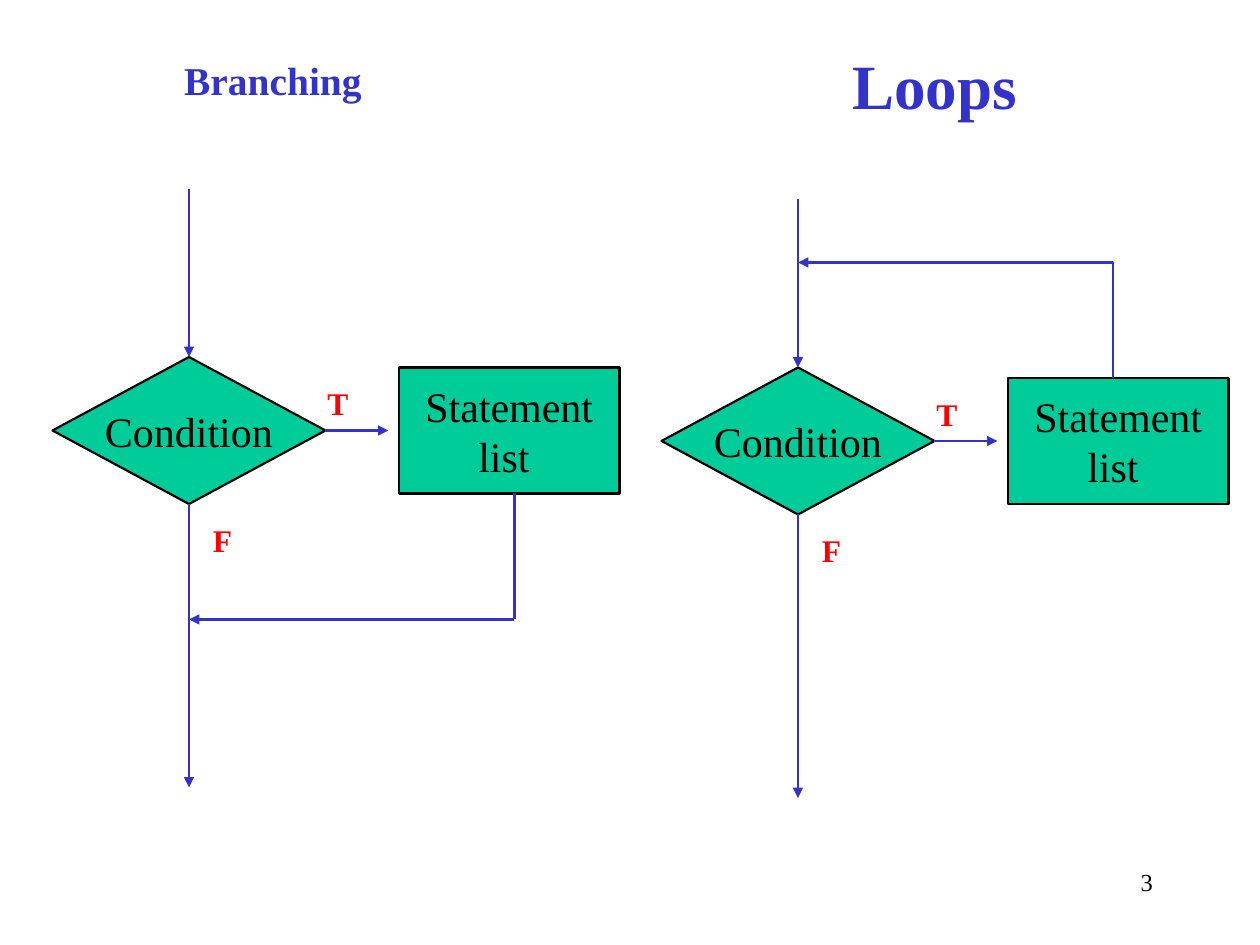
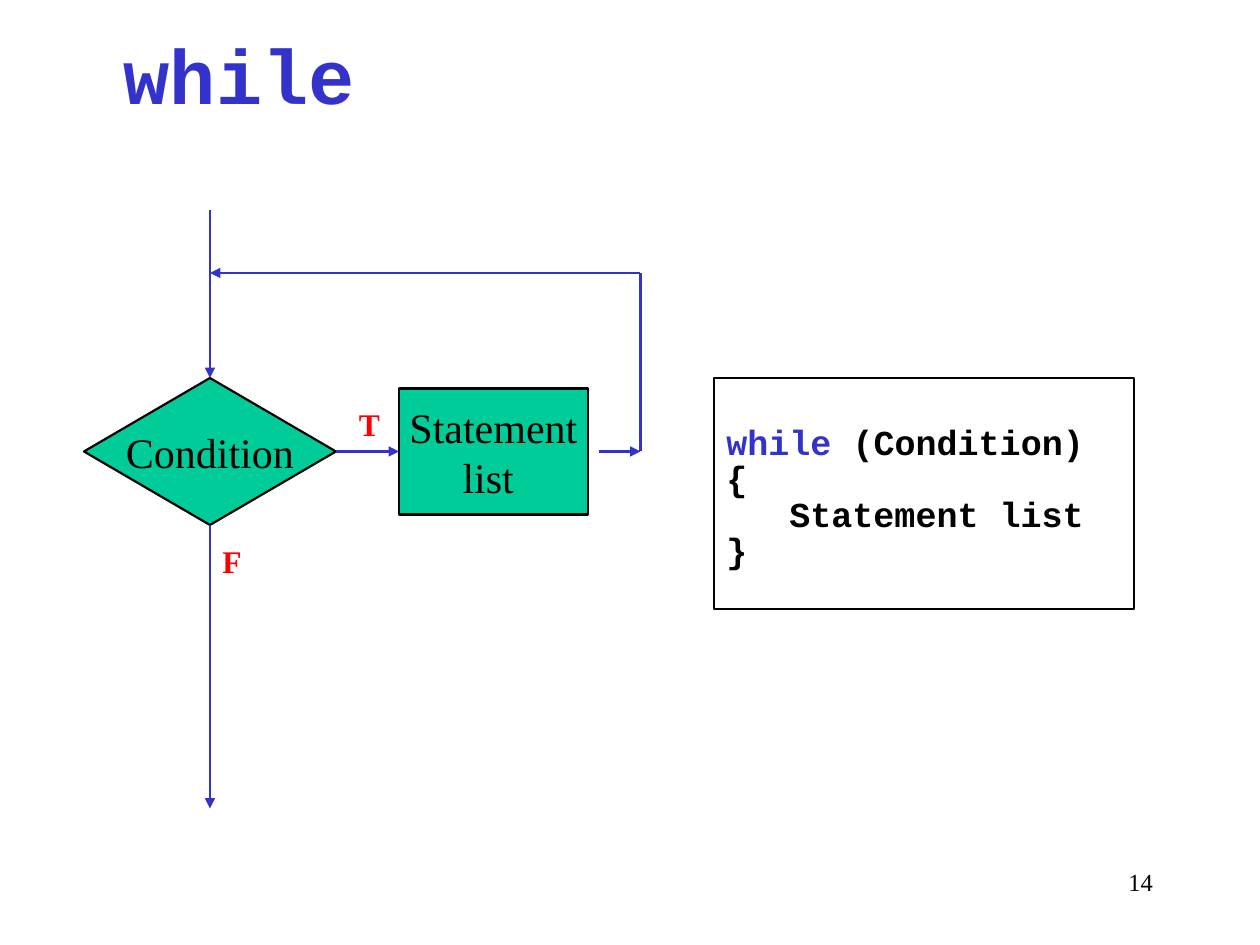
from lxml.etree import SubElement
from pptx import Presentation
from pptx.dml.color import RGBColor
from pptx.enum.shapes import MSO_CONNECTOR, MSO_SHAPE
from pptx.enum.text import MSO_ANCHOR, MSO_AUTO_SIZE, PP_ALIGN
from pptx.oxml.ns import qn
from pptx.util import Pt

PX = 7620  # EMU in one px, 120 px to the inch
TITLE_ONLY = 5
TOP, LEFT, BOTTOM, RIGHT = range(4)  # connection sites
SERIF, MONO = "Times New Roman", "Courier New"
COLORS = {"accent": "3333CC", "block": "00CC99", "label": "FF0000", "ink": "000000"}

# Flow chart sizes
DECISION_H, PROCESS_H = 140, 120
ENTRY_LEN, BRANCH_LEN, EXIT_LEN = 160, 60, 270


def emu(*lengths):
    return [length * PX for length in lengths]


def rgb(name):
    return RGBColor.from_string(COLORS[name])


def style_font(font, size, color, bold=False, name=SERIF):
    font.size, font.bold, font.name = Pt(size), bold, name
    font.color.rgb = rgb(color)


def write(sp, lines, size, color, bold=False, name=SERIF, align=PP_ALIGN.LEFT,
          anchor=MSO_ANCHOR.TOP, wrap=True):
    tf = sp.text_frame
    tf.text = "\n".join(lines)
    tf.word_wrap, tf.vertical_anchor = wrap, anchor
    tf.auto_size = MSO_AUTO_SIZE.NONE
    for p in tf.paragraphs:
        p.alignment = align
        style_font(p.font, size, color, bold, name)
    return tf


def add_text(slide, box, text, size, color, **style):
    sp = slide.shapes.add_textbox(*emu(*box))
    return write(sp, [text], size, color, **style)


def add_block(slide, kind, box, lines):
    sp = slide.shapes.add_shape(kind, *emu(*box))
    sp.shadow.inherit = False
    sp.fill.solid()
    sp.fill.fore_color.rgb = rgb("block")
    sp.line.color.rgb = rgb("ink")
    sp.line.width = Pt(1.25)
    write(sp, lines, 24, "ink", align=PP_ALIGN.CENTER, anchor=MSO_ANCHOR.MIDDLE, wrap=False)
    return sp


def style_line(line, arrow):
    line.color.rgb = rgb("accent")
    line.width = Pt(1.5)
    if arrow:
        SubElement(line._get_or_add_ln(), qn("a:tailEnd"), type="triangle")


def add_line(slide, start, end, arrow=True):
    cxn = slide.shapes.add_connector(MSO_CONNECTOR.STRAIGHT, *emu(*start, *end))
    style_line(cxn.line, arrow)
    SubElement(cxn._element.spPr, qn("a:effectLst"))
    return cxn


def add_title(slide, x, y, text, size, name=SERIF):
    title = slide.shapes.title
    title.left, title.top, title.width, title.height = emu(x, y, 340, 60)
    write(title, [text], size, "accent", bold=True, name=name,
          align=PP_ALIGN.CENTER, anchor=MSO_ANCHOR.MIDDLE)


def add_slide(prs, number):
    slide = prs.slides.add_slide(prs.slide_layouts[TITLE_ONLY])
    add_text(slide, (860, 820, 250, 60), number, 14, "ink", align=PP_ALIGN.RIGHT)
    return slide


def add_flow(slide, x, y, decision_w, gap, process_w, true_dx, false_dx):
    """Draw a condition with its statement block; x, y is the diamond's corner."""
    center, right = x + decision_w // 2, x + decision_w
    middle, bottom = y + DECISION_H // 2, y + DECISION_H
    decision = add_block(slide, MSO_SHAPE.FLOWCHART_DECISION,
                         (x, y, decision_w, DECISION_H), ["Condition"])
    process = add_block(slide, MSO_SHAPE.FLOWCHART_PROCESS,
                        (right + gap, y + 10, process_w, PROCESS_H), ["Statement", "list "])

    # Branch labels
    for label, left, top in (("T", right + true_dx, y + 20),
                             ("F", center + false_dx, y + 150)):
        add_text(slide, (left, top, 43, 48), label, 18, "label", bold=True, wrap=False)

    # Entry, true and false arrows
    entry = add_line(slide, (center, y - ENTRY_LEN), (center, y))
    entry.end_connect(decision, TOP)
    branch = add_line(slide, (right, middle), (right + BRANCH_LEN, middle))
    branch.begin_connect(decision, RIGHT)
    if gap == BRANCH_LEN:
        branch.end_connect(process, LEFT)
    leave = add_line(slide, (center, bottom), (center, bottom + EXIT_LEN))
    leave.begin_connect(decision, BOTTOM)
    return center


def add_branching(slide, x, y):
    center = add_flow(slide, x, y, 260, 70, 210, -10, 11)
    corner = (x + 440, y + 250)
    add_line(slide, corner, (center, y + 250))
    add_line(slide, corner, (x + 440, y + 130), arrow=False)


def add_loop(slide, x, y):
    center = add_flow(slide, x, y, 260, 70, 210, -10, 11)
    back_x, back_y = x + 430, y - 100
    path = slide.shapes.build_freeform(back_x, y + 10, scale=PX)
    path.add_line_segments([(back_x, back_y), (center, back_y)], close=False)
    sp = path.convert_to_shape()
    sp.fill.background()
    style_line(sp.line, arrow=True)
    sp.shadow.inherit = False


def add_while_loop(slide, x, y):
    center = add_flow(slide, x, y, 240, 60, 180, 10, 0)
    back_x, back_y, middle = x + 530, y - 100, y + 70
    add_line(slide, (back_x - 40, middle), (back_x, middle))
    add_line(slide, (back_x, middle), (back_x, back_y), arrow=False)
    add_line(slide, (back_x, back_y), (center, back_y))


def add_code(slide, box):
    sp = slide.shapes.add_shape(MSO_SHAPE.RECTANGLE, *emu(*box))
    sp.shadow.inherit = False
    sp.fill.background()
    sp.line.color.rgb = rgb("ink")
    sp.line.width = Pt(1)
    tf = write(sp, ["", "{", "Statement list", "}"], 20, "ink", bold=True, name=MONO)
    tf.margin_top = 48 * PX
    for p in tf.paragraphs:
        p.line_spacing = 0.8
        p.space_before = Pt(1.3)
    head, _, body, _ = tf.paragraphs
    for text, color in (("while", "accent"), (" (Condition)", "ink")):
        r = head.add_run()
        r.text = text
        style_font(r.font, 20, color, True, MONO)
    body._p.get_or_add_pPr().set("marL", str(60 * PX))


def build_overview(prs):
    slide = add_slide(prs, "3")
    add_title(slide, 720, 50, "Loops", 36)
    tf = add_text(slide, (90, 50, 340, 60), "Branching", 22.5, "accent", bold=True,
                  align=PP_ALIGN.CENTER, anchor=MSO_ANCHOR.MIDDLE)
    tf.paragraphs[0].line_spacing = 0.8
    add_branching(slide, 50, 340)
    add_loop(slide, 630, 350)


def build_while(prs):
    slide = add_slide(prs, "14")
    add_title(slide, 80, 40, "while ", 44, MONO)
    add_while_loop(slide, 80, 360)
    add_code(slide, (680, 360, 400, 220))


def main():
    prs = Presentation()
    prs.slide_width, prs.slide_height = emu(1200, 900)
    build_overview(prs)
    build_while(prs)
    prs.save("out.pptx")


if __name__ == "__main__":
    main()
